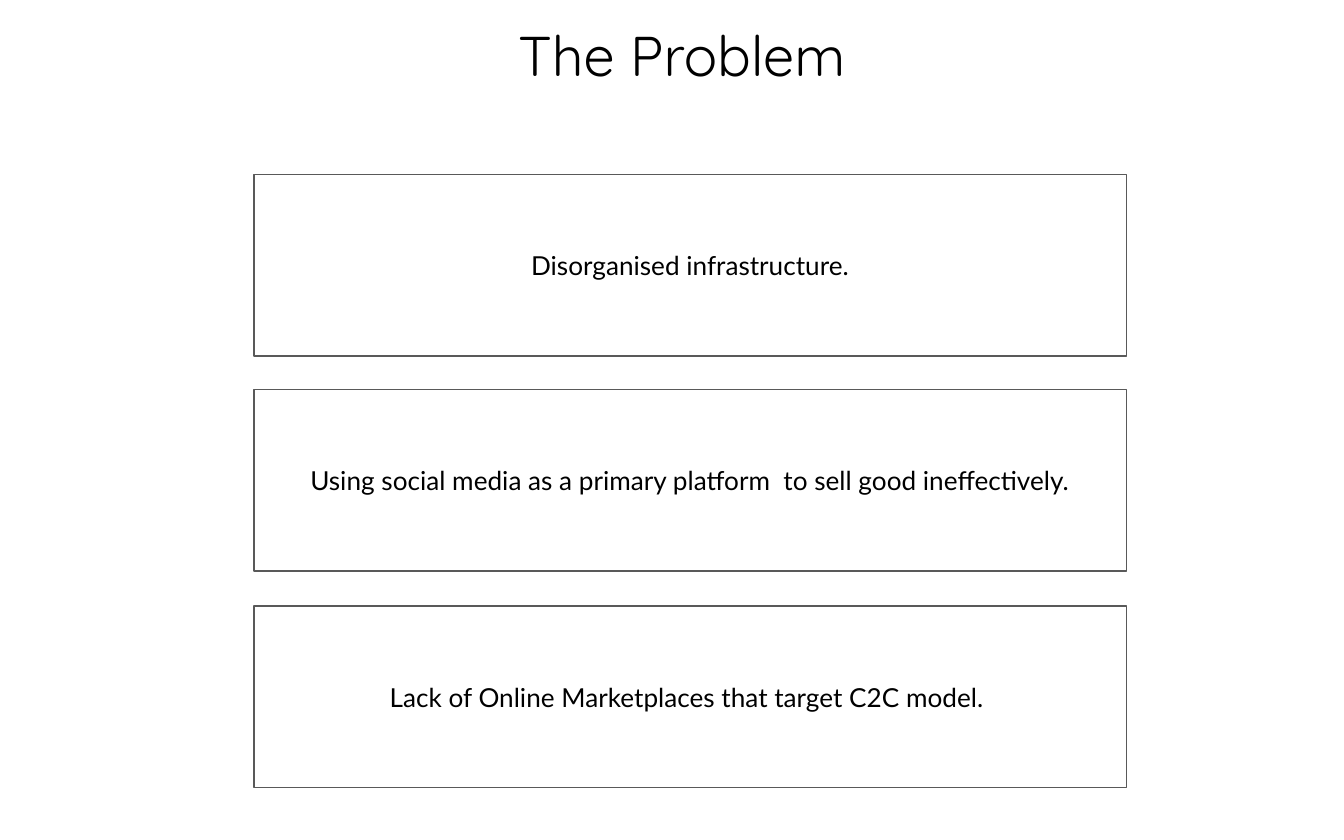
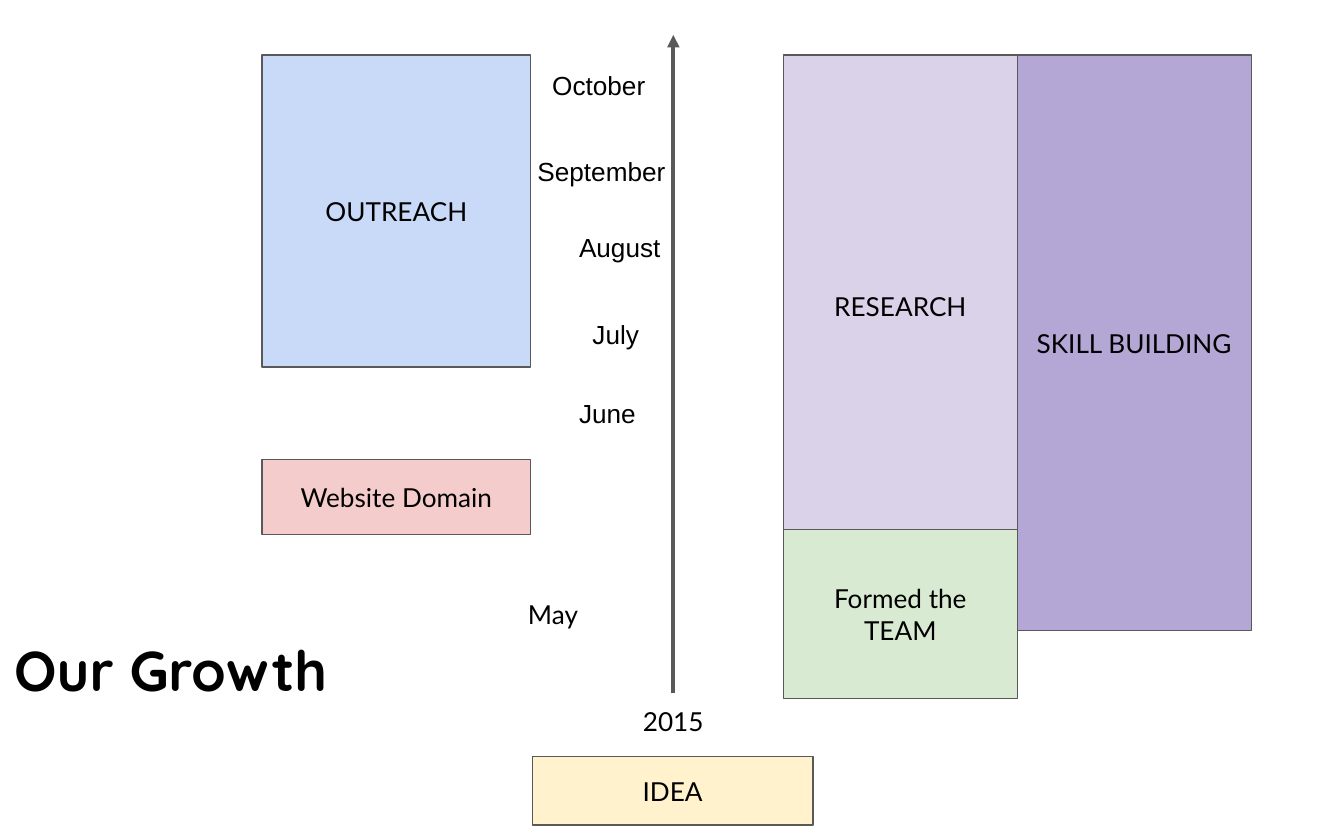
"""Build a two-slide deck: the problem and the growth timeline."""
import pptx
import pptx.dml.color
import pptx.enum.shapes
import pptx.enum.text
import pptx.oxml
import pptx.oxml.ns
import pptx.util

RGB = pptx.dml.color.RGBColor
BLACK = RGB(0x00, 0x00, 0x00)
GREY = RGB(0x59, 0x59, 0x59)
BLUE = RGB(0xC9, 0xDA, 0xF8)
PINK = RGB(0xF4, 0xCC, 0xCC)
GREEN = RGB(0xD9, 0xEA, 0xD3)
CREAM = RGB(0xFF, 0xF2, 0xCC)
LILAC = RGB(0xD9, 0xD2, 0xE9)
PURPLE = RGB(0xB4, 0xA7, 0xD6)

PX = 9144
LEFT = pptx.enum.text.PP_ALIGN.LEFT
CENTER = pptx.enum.text.PP_ALIGN.CENTER
TOP = pptx.enum.text.MSO_ANCHOR.TOP
MIDDLE = pptx.enum.text.MSO_ANCHOR.MIDDLE
BODY = {"name": "Lato", "size": pptx.util.Pt(14), "bold": False}
MONTH = {**BODY, "name": "Arial"}
TITLE = {**BODY, "name": "Quicksand", "size": pptx.util.Pt(30)}


def write(sp, text, font=BODY, align=CENTER, anchor=MIDDLE, bottom=10):
    tf = sp.text_frame
    frame = {"word_wrap": True, "vertical_anchor": anchor, "margin_left": 10 * PX,
             "margin_right": 10 * PX, "margin_top": 10 * PX, "margin_bottom": bottom * PX}
    for key, value in frame.items():
        setattr(tf, key, value)
    p = tf.paragraphs[0]
    p.alignment = align
    r = p.add_run()
    r.text = text
    for key, value in font.items():
        setattr(r.font, key, value)
    r.font.color.rgb = BLACK


def add_box(s, text, box, fill=None):
    sp = s.shapes.add_shape(pptx.enum.shapes.MSO_SHAPE.RECTANGLE, *[v * PX for v in box])
    sp.shadow.inherit = False
    if fill is None:
        sp.fill.background()
    else:
        sp.fill.solid()
        sp.fill.fore_color.rgb = fill
    sp.line.color.rgb = GREY
    sp.line.width = pptx.util.Pt(0.75)
    write(sp, text)


prs = pptx.Presentation()
prs.slide_width = 1000 * PX
prs.slide_height = 625 * PX
blank = prs.slide_layouts[6]

s = prs.slides.add_slide(blank)
title = s.shapes.add_textbox(63 * PX, 0, 900 * PX, 104 * PX)
write(title, "The Problem ", TITLE, bottom=33)
problems = [
    "Disorganised infrastructure.",
    "Using social media as a primary platform  to sell good ineffectively.",
    "Lack of Online Marketplaces that target C2C model. ",
]
for i, problem in enumerate(problems):
    add_box(s, problem, (189, 130 + round(160.5 * i), 649, 135))

s = prs.slides.add_slide(blank)
phases = [
    ("SKILL BUILDING", (757, 41, 174, 428), PURPLE),
    ("IDEA", (396, 563, 209, 51), CREAM),
    ("RESEARCH", (583, 41, 174, 374), LILAC),
    ("Formed the TEAM", (583, 394, 174, 126), GREEN),
    ("Website Domain", (195, 342, 200, 56), PINK),
    ("OUTREACH", (195, 41, 200, 232), BLUE),
]
for text, box, fill in phases:
    add_box(s, text, box, fill)

title = s.shapes.add_textbox(-317 * PX, 446 * PX, 900 * PX, 104 * PX)
write(title, "Our Growth ", {**TITLE, "bold": True})

year = s.shapes.add_textbox(443 * PX, 516 * PX, 116 * PX, 19 * PX)
write(year, "2015", anchor=TOP)

axis = s.shapes.add_connector(pptx.enum.shapes.MSO_CONNECTOR.STRAIGHT,
                              501 * PX, 516 * PX, 501 * PX, 26 * PX)
axis.begin_connect(year, 0)
axis.line.color.rgb = GREY
axis.line.width = pptx.util.Pt(2.25)
ns = pptx.oxml.ns.nsdecls("a")
axis.line._get_or_add_ln().append(pptx.oxml.parse_xml(f'<a:tailEnd {ns} type="triangle"/>'))
axis._element.spPr.append(pptx.oxml.parse_xml(f"<a:effectLst {ns}/>"))

months = [
    ("May", (383, 435, 150, 44), BODY, TOP),
    ("June", (421, 286, 138, 56), MONTH, TOP),
    ("July", (431, 227, 138, 56), MONTH, TOP),
    ("August", (421, 162, 138, 56), MONTH, TOP),
    ("September", (390, 106, 138, 56), MONTH, TOP),
    ("October", (401, 0, 115, 126), MONTH, MIDDLE),
]
for text, box, font, anchor in months:
    sp = s.shapes.add_textbox(*[v * PX for v in box])
    write(sp, text, font, LEFT, anchor)

prs.save("out.pptx")
